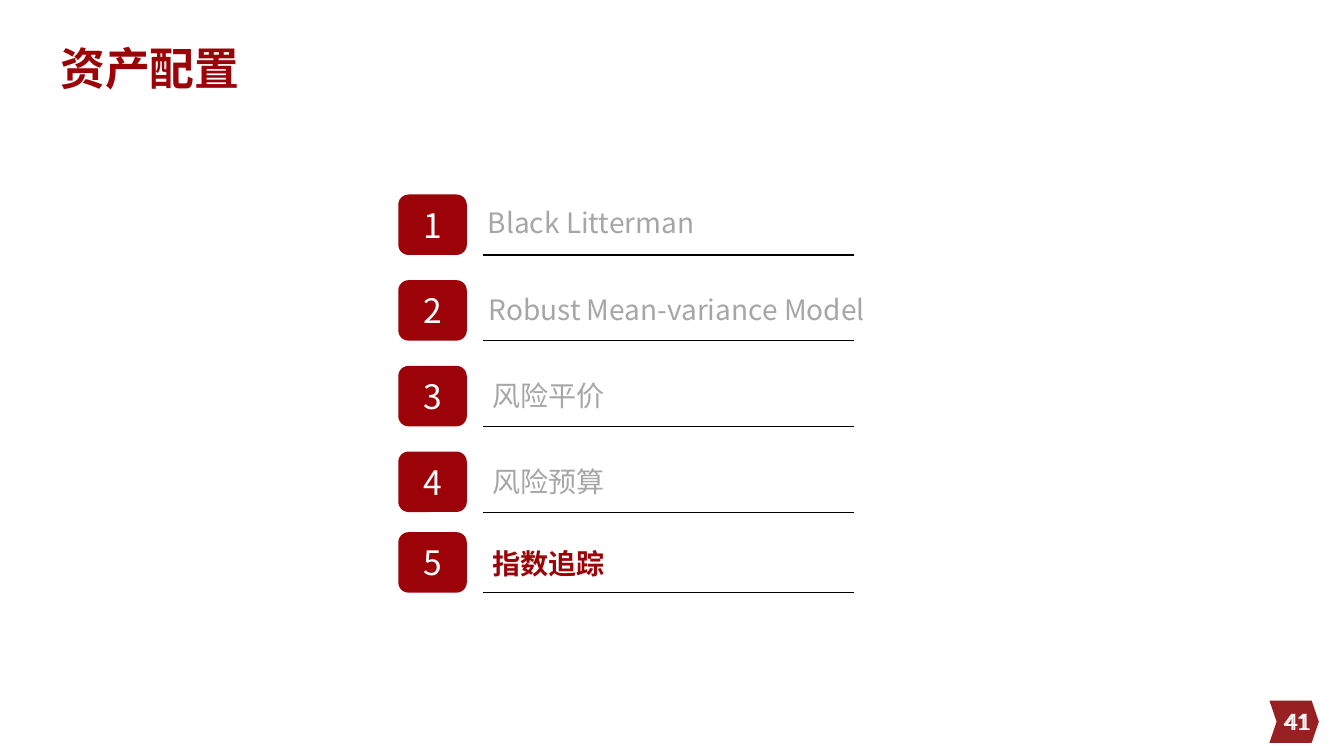
import lxml.etree
import pptx
import pptx.dml.color
import pptx.enum.shapes
import pptx.enum.text
import pptx.oxml.ns
import pptx.util

SHAPE = pptx.enum.shapes.MSO_SHAPE
ALIGN = pptx.enum.text.PP_ALIGN
ANCHOR = pptx.enum.text.MSO_ANCHOR
COLORS = {"red": "9C0308", "marker": "972022", "grey": "A6A6A6",
          "white": "FFFFFF", "black": "000000"}
FONT = "Noto Sans CJK SC"


class AgendaPage:
    """Draws styled elements on a grid of tenth-of-an-inch columns and rows."""

    def __init__(self, deck):
        self.page = deck.slides.add_slide(deck.slide_layouts[6])

    def cells(self, *counts):
        return [pptx.util.Inches(count / 10) for count in counts]

    def color(self, name):
        return pptx.dml.color.RGBColor.from_string(COLORS[name])

    def fill_text(self, frame, text, size, color, bold=False, font=FONT,
                  align=ALIGN.LEFT, anchor=ANCHOR.TOP, spacing=1.0):
        frame.word_wrap = True
        frame.vertical_anchor = anchor
        para = frame.paragraphs[0]
        para.alignment = align
        para.line_spacing = spacing
        span = para.add_run()
        span.text = text
        span.font.size = pptx.util.Pt(size)
        span.font.name = font
        span.font.bold = bold
        span.font.color.rgb = self.color(color)
        east_asian = lxml.etree.SubElement(span.font._element, pptx.oxml.ns.qn("a:ea"))
        east_asian.set("typeface", font)

    def text(self, place, text, size, color, **style):
        box = self.page.shapes.add_textbox(*self.cells(*place))
        self.fill_text(box.text_frame, text, size, color, **style)

    def shape(self, kind, place, color, adjustment):
        shape = self.page.shapes.add_shape(kind, *self.cells(*place))
        shape.shadow.inherit = False
        shape.adjustments[0] = adjustment
        shape.fill.solid()
        shape.fill.fore_color.rgb = self.color(color)
        shape.line.fill.background()
        return shape

    def badge(self, place, text):
        shape = self.shape(SHAPE.ROUNDED_RECTANGLE, place, "red", 0.17)
        self.fill_text(shape.text_frame, text, 24, "white",
                       align=ALIGN.CENTER, anchor=ANCHOR.MIDDLE)

    def rule(self, left, right, row):
        line = self.page.shapes.add_connector(
            pptx.enum.shapes.MSO_CONNECTOR.STRAIGHT, *self.cells(left, row, right, row))
        line.line.color.rgb = self.color("black")
        line.line.width = pptx.util.Pt(0.75)
        lxml.etree.SubElement(line._element.spPr, pptx.oxml.ns.qn("a:effectLst"))


def main():
    deck = pptx.Presentation()
    deck.slide_width = pptx.util.Inches(13.33)
    deck.slide_height = pptx.util.Inches(7.5)
    agenda = AgendaPage(deck)

    agenda.shape(SHAPE.CHEVRON, (125.9, 69.5, 4.9, 4.2), "marker", 0.17)
    for left in (100.8, 101):
        agenda.text((left, 69.5, 30, 4), "41", 18, "white", font="Calibri",
                    align=ALIGN.RIGHT, anchor=ANCHOR.MIDDLE)
    agenda.text((5, 4.2, 115, 6.6), "资产配置", 32, "red", bold=True, spacing=0.9)

    topics = [
        ("Black Litterman", 19.3, 47.4, 19.9),
        ("Robust Mean-variance Model", 27.8, 47.5, 28.5),
        ("风险平价", 36.3, 47.9, 37.1),
        ("风险预算", 44.8, 47.9, 45.6),
        ("指数追踪", 52.8, 47.9, 53.7),
    ]
    badge_height = 6
    for number, (topic, top, label_left, label_top) in enumerate(topics, 1):
        current = number == len(topics)
        agenda.badge((39.5, top, 6.8, badge_height), str(number))
        agenda.rule(47.9, 84.7, top + badge_height)
        agenda.text((label_left, label_top, 48.7, 4.4), topic, 20,
                    "red" if current else "grey", bold=current)

    deck.save("out.pptx")


if __name__ == "__main__":
    main()
